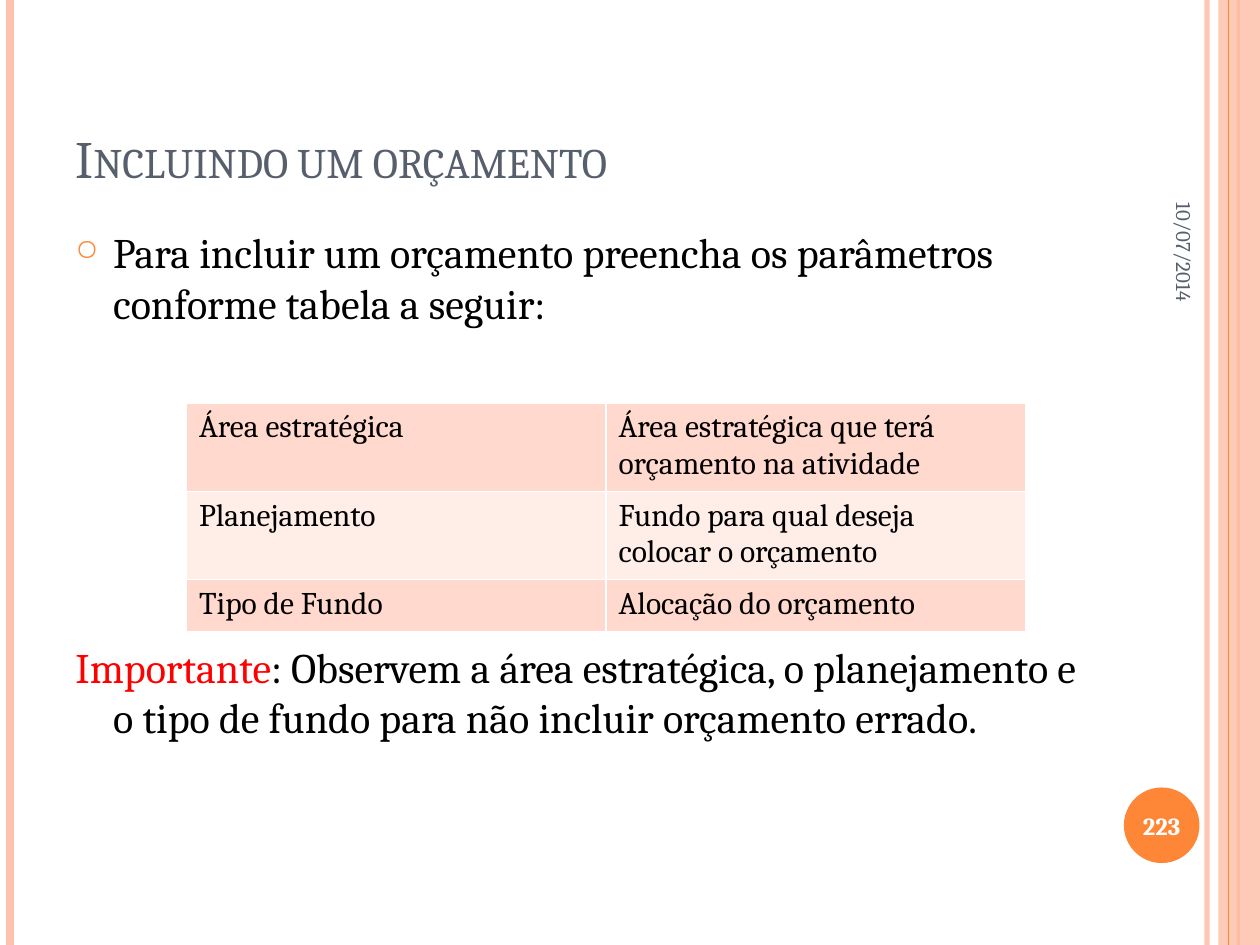
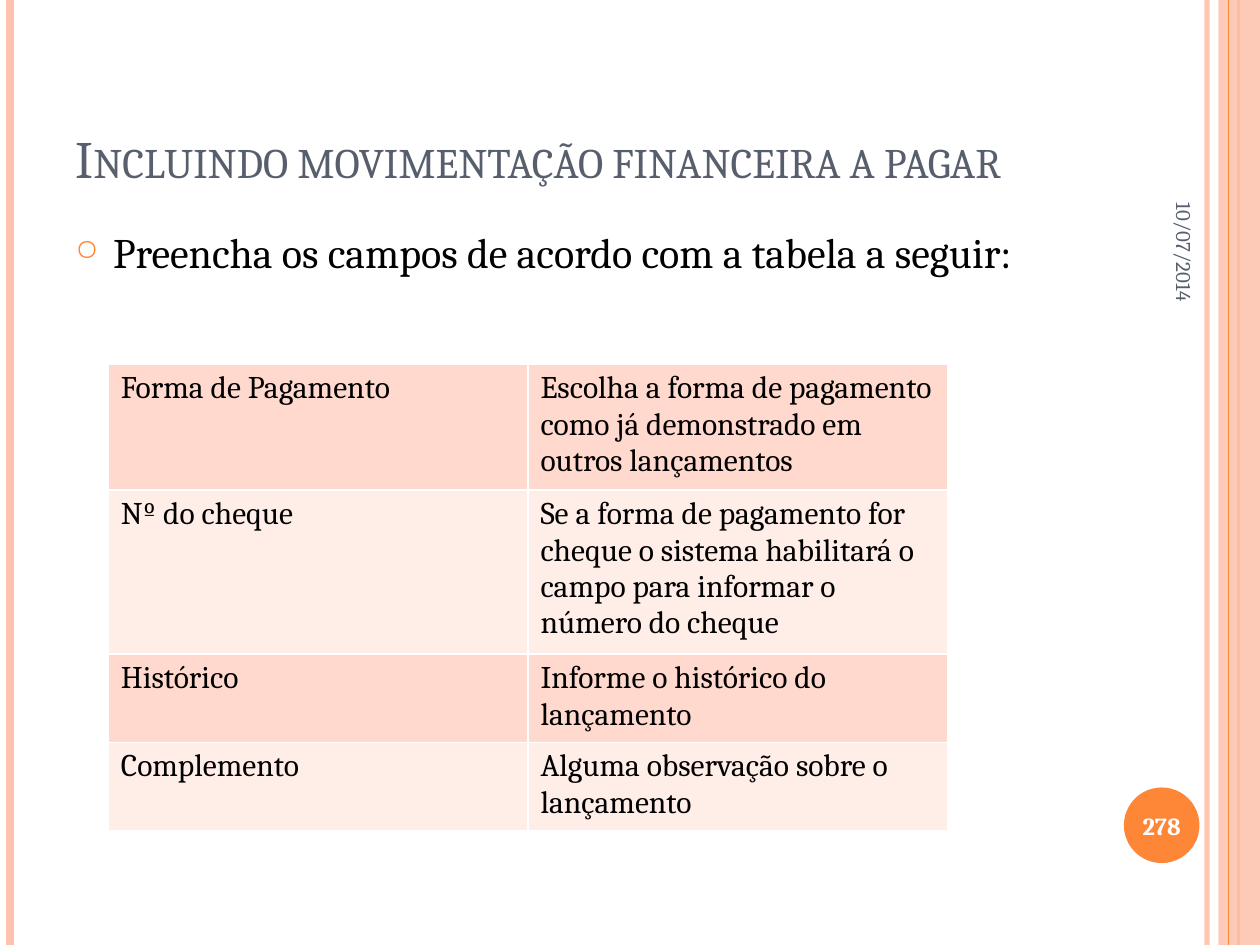
from lxml.etree import SubElement
from pptx import Presentation
from pptx.dml.color import RGBColor
from pptx.enum.shapes import MSO_CONNECTOR, MSO_SHAPE
from pptx.enum.text import MSO_ANCHOR, PP_ALIGN
from pptx.oxml import parse_xml
from pptx.oxml.ns import nsdecls, qn
from pptx.util import Inches, Pt

ORANGE = RGBColor(0xFE, 0x86, 0x37)
PEACH = RGBColor(0xFE, 0xC3, 0xAE)
SLATE = RGBColor(0x57, 0x5F, 0x6D)
BLACK = RGBColor(0, 0, 0)
WHITE = RGBColor(0xFF, 0xFF, 0xFF)
RED = RGBColor(0xFF, 0, 0)
ROW_FILLS = (RGBColor(0xFF, 0xD9, 0xCE), RGBColor(0xFF, 0xED, 0xE8))

FONT = "Cambria"
DATE = "10/07/2014"
LEFT, TEXT_WIDTH = 0.5, 8.17
COLUMN_WIDTH, ROW_HEIGHT = 3.33, 0.41
HANGING = 0.3


def set_alpha(fill_parent, percent):
    color = next(fill_parent.iter(qn("a:srgbClr")))
    SubElement(color, qn("a:alpha"), val=str(percent * 1000))


def set_hanging_indent(paragraph):
    properties = paragraph._p.get_or_add_pPr()
    properties.set("marL", str(Inches(HANGING)))
    properties.set("indent", str(-Inches(HANGING)))
    return properties


class Deck:
    """Holds the shared style and the slide being built."""

    def __init__(self):
        self.presentation = Presentation()
        self.presentation.slide_width = Inches(10)
        self.presentation.slide_height = Inches(7.5)
        self.slide = None

    def start_slide(self, title, number):
        self.slide = self.presentation.slides.add_slide(self.presentation.slide_layouts[6])
        self.side_bands()
        self.title(title)
        self.date()
        self.number_badge(number)

    def vertical_line(self, x, color, width, alpha=100):
        rule = self.slide.shapes.add_connector(
            MSO_CONNECTOR.STRAIGHT, Inches(x), 0, Inches(x), Inches(7.5))
        rule.line.color.rgb = color
        rule.line.width = Pt(width)
        properties = rule._element.spPr
        if alpha < 100:
            set_alpha(properties, alpha)
        SubElement(properties, qn("a:effectLst"))

    def filled_shape(self, kind, x, y, width, height, color):
        shape = self.slide.shapes.add_shape(
            kind, Inches(x), Inches(y), Inches(width), Inches(height))
        shape.shadow.inherit = False
        shape.fill.solid()
        shape.fill.fore_color.rgb = color
        shape.line.fill.background()
        return shape

    def side_bands(self):
        self.vertical_line(9.58, PEACH, 3, alpha=93)
        self.vertical_line(0.08, PEACH, 4.5)
        self.vertical_line(9.83, ORANGE, 1.5)
        band = self.filled_shape(MSO_SHAPE.RECTANGLE, 9.67, 0, 0.33, 7.5, PEACH)
        set_alpha(band._element.spPr, 87)
        self.vertical_line(9.75, ORANGE, 0.75)

    def text_box(self, x, y, width, height, anchor=MSO_ANCHOR.TOP):
        box = self.slide.shapes.add_textbox(
            Inches(x), Inches(y), Inches(width), Inches(height))
        box.text_frame.word_wrap = True
        box.text_frame.vertical_anchor = anchor
        return box

    def run(self, paragraph, text, size, color, bold=False):
        run = paragraph.add_run()
        run.text = text
        run.font.name = FONT
        run.font.size = Pt(size)
        run.font.color.rgb = color
        run.font.bold = bold
        return run

    def title(self, text):
        box = self.text_box(LEFT, 0.3, TEXT_WIDTH, 1.25, MSO_ANCHOR.BOTTOM)
        heading = self.run(box.text_frame.paragraphs[0], text, 30, SLATE)
        heading.font._element.set("cap", "small")

    def date(self):
        box = self.text_box(8.3, 1.18, 2.2, 0.42, MSO_ANCHOR.MIDDLE)
        box.rotation = 90
        paragraph = box.text_frame.paragraphs[0]
        paragraph.alignment = PP_ALIGN.RIGHT
        self.run(paragraph, DATE, 12, SLATE)

    def number_badge(self, number):
        badge = self.filled_shape(MSO_SHAPE.OVAL, 8.92, 6.25, 0.6, 0.6, ORANGE)
        frame = badge.text_frame
        frame.margin_left = frame.margin_right = 0
        frame.word_wrap = False
        frame.vertical_anchor = MSO_ANCHOR.MIDDLE
        frame.paragraphs[0].alignment = PP_ALIGN.CENTER
        self.run(frame.paragraphs[0], str(number), 14, WHITE, bold=True)

    def bullet(self, text):
        paragraph = self.text_box(LEFT, 1.75, TEXT_WIDTH, 1).text_frame.paragraphs[0]
        properties = set_hanging_indent(paragraph)
        color = SubElement(properties, qn("a:buClr"))
        SubElement(color, qn("a:srgbClr"), val=str(ORANGE))
        SubElement(properties, qn("a:buSzPct"), val="70000")
        SubElement(properties, qn("a:buChar"), char="○")
        self.run(paragraph, text, 24, BLACK)

    def warning(self, y, label, text):
        paragraph = self.text_box(LEFT, y, TEXT_WIDTH, 1).text_frame.paragraphs[0]
        set_hanging_indent(paragraph)
        self.run(paragraph, label, 24, RED)
        self.run(paragraph, text, 24, BLACK)

    def cell_borders(self, cell):
        properties = cell._tc.get_or_add_tcPr()
        for index, side in enumerate(("lnL", "lnR", "lnT", "lnB")):
            properties.insert(index, parse_xml(
                f'<a:{side} {nsdecls("a")} w="{Pt(1)}"><a:solidFill>'
                f'<a:srgbClr val="{WHITE}"/></a:solidFill></a:{side}>'))

    def field_table(self, x, y, fields):
        """Lists (field, explanation) pairs in rows of alternating tint."""
        table = self.slide.shapes.add_table(
            len(fields), 2, Inches(x), Inches(y),
            Inches(2 * COLUMN_WIDTH), Inches(ROW_HEIGHT * len(fields))).table
        table.first_row = table.horz_banding = False
        for row, field in enumerate(fields):
            for column, text in enumerate(field):
                cell = table.cell(row, column)
                cell.fill.solid()
                cell.fill.fore_color.rgb = ROW_FILLS[row % 2]
                self.cell_borders(cell)
                self.run(cell.text_frame.paragraphs[0], text, 18, BLACK)


def main():
    deck = Deck()

    deck.start_slide("Incluindo um orçamento", 223)
    deck.bullet("Para incluir um orçamento preencha os parâmetros conforme tabela a seguir:")
    deck.warning(5.04, "Importante", ": Observem a área estratégica, o planejamento e "
                 "o tipo de fundo para não incluir orçamento errado.")
    deck.field_table(1.48, 3.2, [
        ("Área estratégica", "Área estratégica que terá orçamento na atividade"),
        ("Planejamento", "Fundo para qual deseja colocar o orçamento"),
        ("Tipo de Fundo", "Alocação do orçamento"),
    ])

    deck.start_slide("Incluindo movimentação financeira a pagar", 278)
    deck.bullet("Preencha os campos de acordo com a tabela a seguir:")
    deck.field_table(0.86, 2.89, [
        ("Forma de Pagamento",
         "Escolha a forma de pagamento como já demonstrado em outros lançamentos"),
        ("Nº do cheque", "Se a forma de pagamento for cheque o sistema habilitará o "
         "campo para informar o número do cheque"),
        ("Histórico", "Informe o histórico do lançamento"),
        ("Complemento", "Alguma observação sobre o lançamento"),
    ])

    deck.presentation.save("out.pptx")


if __name__ == "__main__":
    main()
